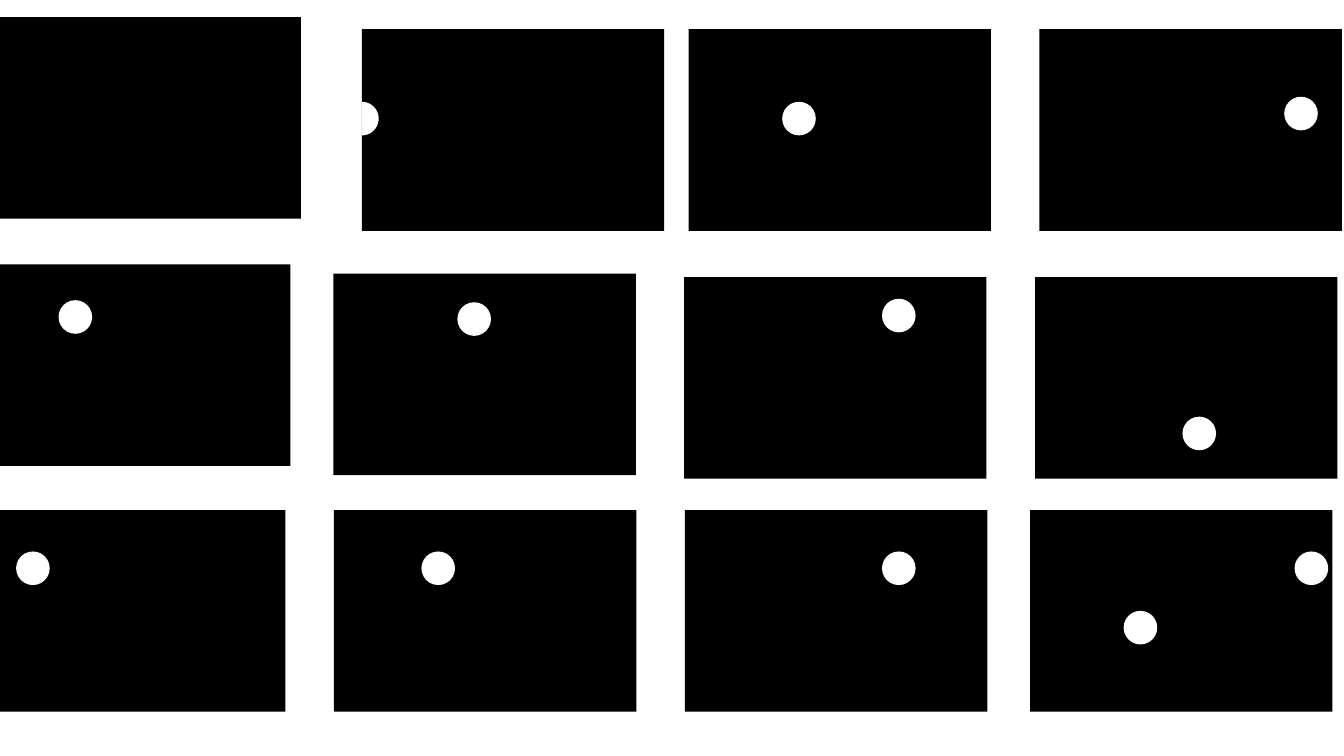
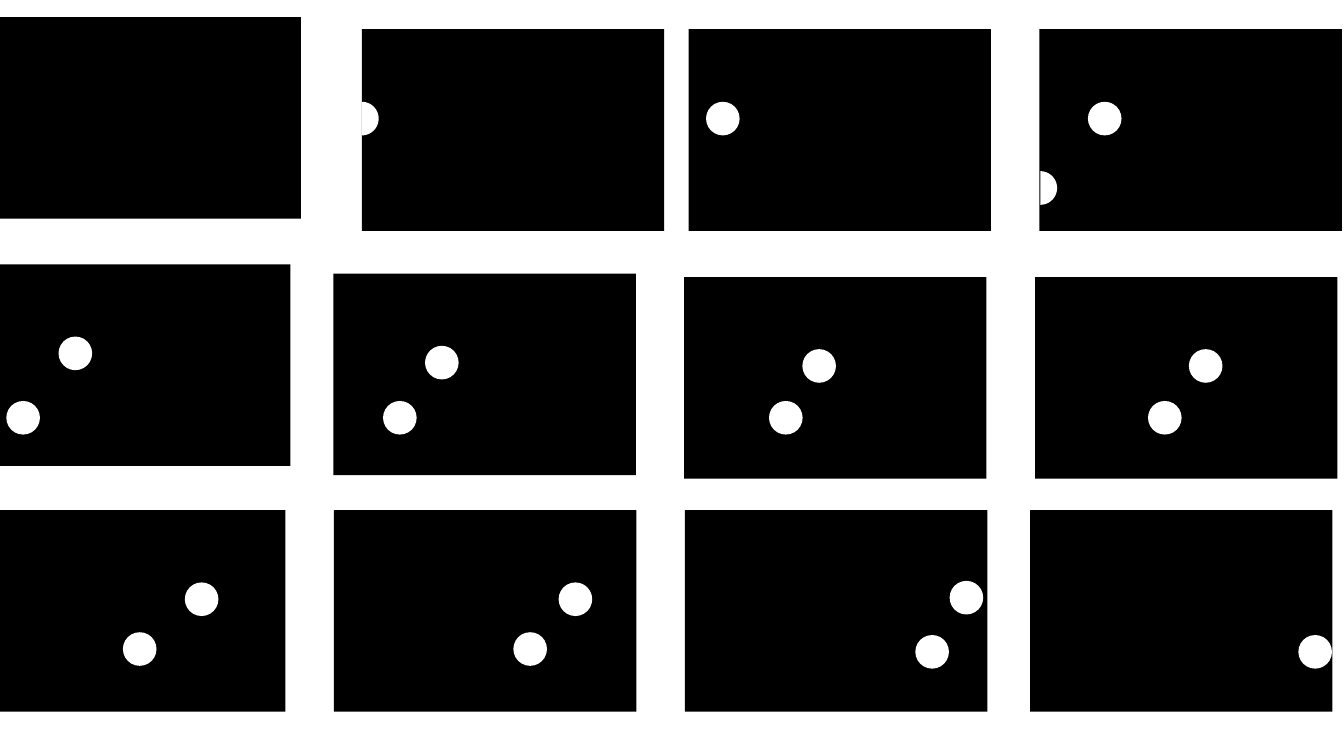
"""Two boards of black frames crossed by white balls."""
from math import cos, pi, sin

from pptx import Presentation
from pptx.dml.color import RGBColor
from pptx.enum.shapes import MSO_SHAPE
from pptx.util import Pt

BLACK = RGBColor(0, 0, 0)
WHITE = RGBColor(255, 255, 255)
SIZE = {"slide_width": Pt(960), "slide_height": Pt(540)}
WIDE, HIGH, BALL = 216, 144, 24
STEPS = 36

FRAMES = [
    (-1, 12.2), (258.5, 20.9), (491.9, 20.9), (742.5, 20.9),
    (-8.6, 188.8), (238.2, 195.4), (488.7, 198), (739.4, 198),
    (-12.2, 364.4), (238.6, 364.4), (489.3, 364.4), (735.8, 364.4),
]
ENTRY = (258.5, 72.7)

SINGLE = {
    "balls": {
        72.7: [558.7], 69.1: [917.3],
        214.4: [41.8], 215.9: [326.7], 213.4: [630], 297.6: [844.6],
        393.9: [11.5, 301, 630, 924.7], 436.3: [802.6],
    },
    "halves": [ENTRY],
}
PAIR = {
    "balls": {
        72.7: [504.3, 777.1],
        240.4: [41.8], 247: [303.6], 249.4: [573.1, 849.2],
        416: [132, 399], 414.9: [678.3],
        286.4: [4.5, 273.6, 549.3, 820],
        451.6: [87.8, 366.7], 453.6: [653.8, 927.4],
    },
    "halves": [ENTRY, (743.1, 122.3)],
}


def paint(shape, color):
    """Give a shape a flat fill without line or shadow."""
    shape.shadow.inherit = False
    shape.fill.solid()
    for part, value in {shape.fill.fore_color: color}.items():
        part.rgb = value
    shape.line.fill.background()


def block(slide, kind, left, top, size, color):
    """Add one plain preset shape."""
    box = map(Pt, (left, top, *size))
    paint(slide.shapes.add_shape(kind, *box), color)


def half(slide, left, top):
    """Add the right half of a ball entering at a frame's left edge."""
    rad = BALL / 2
    turns = [pi * step / STEPS for step in range(STEPS + 1)]
    arc = [(Pt(left + rad * sin(turn)), Pt(top + rad - rad * cos(turn)))
           for turn in turns]
    path = slide.shapes.build_freeform(*arc[0])
    path.add_line_segments(arc[1:], close=True)
    paint(path.convert_to_shape(), WHITE)


def board(deck, balls, halves):
    """Add a slide with all frames and the given balls."""
    slide = deck.slides.add_slide(deck.slide_layouts[6])
    for left, top in FRAMES:
        block(slide, MSO_SHAPE.RECTANGLE, left, top, (WIDE, HIGH), BLACK)
    for top, lefts in balls.items():
        for left in lefts:
            block(slide, MSO_SHAPE.OVAL, left, top, (BALL, BALL), WHITE)
    for left, top in halves:
        half(slide, left, top)


def main():
    """Build and save the deck."""
    deck = Presentation()
    for name, value in SIZE.items():
        setattr(deck, name, value)
    for scene in (SINGLE, PAIR):
        board(deck, **scene)
    deck.save("out.pptx")


main()
